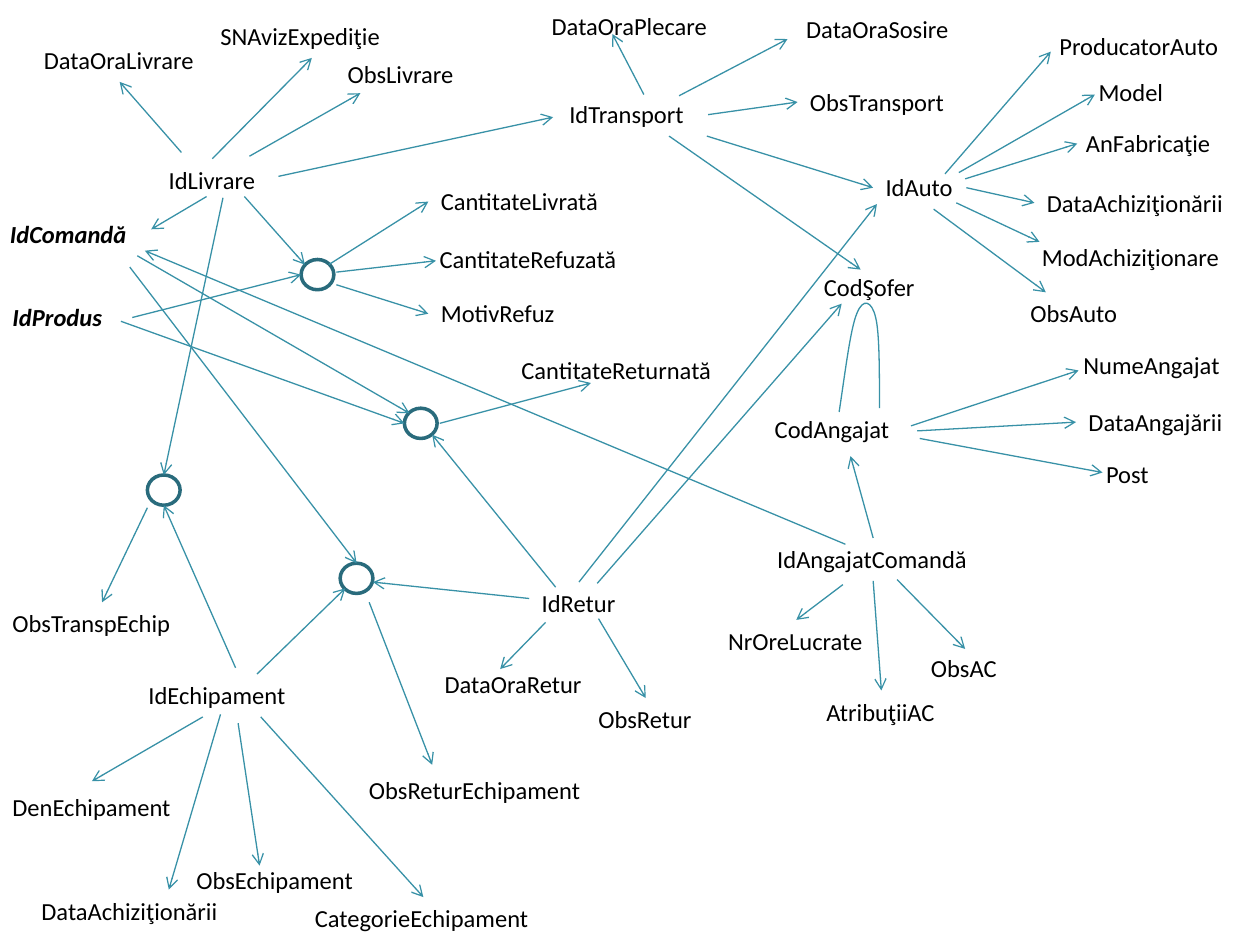
from math import dist

from lxml.etree import SubElement
from pptx import Presentation
from pptx.dml.color import RGBColor
from pptx.enum.shapes import MSO_CONNECTOR as CONN, MSO_SHAPE as SHAPE
from pptx.enum.text import MSO_AUTO_SIZE as AUTO
from pptx.oxml.ns import qn
from pptx.util import Cm, Pt

UNIT = 2.54
LABEL_H = 0.34
CIRCLE_W, CIRCLE_H = 0.26, 0.24
SNAP = 0.02

LABELS = [
    ("IdLivrare", 1.24, 1.26, 0.89),
    ("DataOraLivrare", 0.25, 0.31, 1.4),
    ("SNAvizExpediţie", 1.65, 0.12, 1.65),
    ("ObsLivrare", 2.66, 0.42, 1.05),
    ("IdTransport", 4.42, 0.74, 1.12),
    ("DataOraPlecare", 4.28, 0.04, 1.45),
    ("DataOraSosire", 6.3, 0.06, 1.34),
    ("ObsTransport", 6.33, 0.64, 1.28),
    ("IdAuto", 6.93, 1.32, 0.74),
    ("ProducatorAuto", 8.31, 0.2, 1.47),
    ("Model", 8.62, 0.56, 0.72),
    ("AnFabricaţie", 8.52, 0.97, 1.2),
    ("DataAchiziţionării", 8.21, 1.44, 1.62),
    ("ModAchiziţionare", 8.17, 1.87, 1.62),
    ("ObsAuto", 8.08, 2.32, 0.9),
    ("CodŞofer", 6.44, 2.11, 0.93),
    ("CodAngajat", 6.05, 3.24, 1.12),
    ("NumeAngajat", 8.5, 2.73, 1.29),
    ("DataAngajării", 8.54, 3.18, 1.28),
    ("Post", 8.68, 3.59, 0.54),
    ("CantitateLivrată", 3.4, 1.43, 1.47),
    ("CantitateRefuzată", 3.39, 1.89, 1.62),
    ("MotivRefuz", 3.4, 2.32, 1.12),
    ("IdAngajatComandă", 6.07, 4.27, 1.72),
    ("NrOreLucrate", 5.68, 4.92, 1.28),
    ("ObsAC", 7.29, 5.13, 0.73),
    ("AtribuţiiAC", 6.46, 5.48, 1.07),
    ("IdEchipament", 1.08, 5.35, 1.3),
    ("DenEchipament", 0, 6.24, 1.47),
    ("DataAchiziţionării", 0.23, 7.06, 1.62),
    ("ObsEchipament", 1.46, 6.82, 1.46),
    ("CategorieEchipament", 2.4, 7.12, 1.92),
    ("ObsTranspEchip", 0, 4.78, 1.71),
    ("IdRetur", 4.2, 4.62, 0.79),
    ("DataOraRetur", 3.43, 5.26, 1.3),
    ("ObsRetur", 4.65, 5.54, 0.95),
    ("CantitateReturnată", 4.04, 2.77, 1.73),
    ("ObsReturEchipament", 2.83, 6.1, 1.9),
]
KEY_LABELS = [("IdProdus", 0, 2.35, 1.05), ("IdComandă", -0.02, 1.69, 1.27)]

CIRCLES = [(2.39, 2.06), (1.17, 3.77), (3.21, 3.24), (2.7, 4.47)]

ARROWS = {
    "IdLivrare": [
        (1.44, 1.21, 0.95, 0.65), (1.69, 1.26, 2.47, 0.45),
        (2.21, 1.4, 4.39, 0.93), (1.98, 1.24, 2.86, 0.74),
        (1.94, 1.56, 2.42, 2.1), (1.64, 1.56, 1.2, 1.82),
        (1.77, 1.57, 1.3, 3.77)],
    "IdTransport": [
        (5.61, 1.08, 6.93, 1.49), (5.31, 1.08, 6.83, 2.14),
        (5.39, 0.76, 6.25, 0.31), (5.62, 0.91, 6.33, 0.81),
        (5.11, 0.75, 4.86, 0.27)],
    "IdAuto": [
        (7.5, 1.38, 8.34, 0.41), (7.66, 1.42, 8.55, 1.14),
        (7.67, 1.49, 8.21, 1.61), (7.59, 1.61, 8.25, 1.92),
        (7.41, 1.66, 8.3, 2.32), (7.61, 1.37, 8.69, 0.75)],
    "CodAngajat": [
        (7.23, 3.38, 8.56, 2.94), (7.28, 3.42, 8.54, 3.35),
        (7.3, 3.48, 8.75, 3.75)],
    "IdProdus": [(1.05, 2.52, 2.39, 2.18), (0.96, 2.55, 3.21, 3.36)],
    "IdComandă": [(1.09, 2.03, 3.25, 3.28), (1.03, 2.12, 2.83, 4.47)],
    "IdAngajatComandă": [
        (6.69, 4.64, 6.32, 4.92), (7.12, 4.6, 7.66, 5.15),
        (6.93, 4.6, 6.99, 5.48), (6.71, 4.32, 1.15, 1.99),
        (6.93, 4.27, 6.75, 3.62)],
    "IdEchipament": [
        (1.61, 5.69, 0.73, 6.2), (2.07, 5.69, 3.36, 7.12),
        (1.75, 5.67, 1.34, 7.06), (1.89, 5.74, 2.06, 6.87),
        (1.87, 5.3, 1.3, 4.01), (2.04, 5.35, 2.74, 4.67)],
    "IdRetur": [
        (4.33, 4.94, 3.97, 5.31), (4.75, 4.91, 5.12, 5.54),
        (4.59, 4.62, 6.96, 1.62), (4.74, 4.63, 6.68, 2.41),
        (4.41, 4.66, 3.43, 3.45), (4.2, 4.75, 2.96, 4.62)],
    "circles": [
        (2.61, 2.1, 3.4, 1.6), (2.67, 2.16, 3.46, 2.07),
        (2.67, 2.26, 3.4, 2.49), (1.17, 4.03, 0.81, 4.78),
        (3.49, 3.36, 4.69, 3.04), (2.93, 4.78, 3.43, 6.07)],
}

LOOP = [(6.66, 3.27), (6.71, 2.94), (6.75, 2.61), (6.8, 2.49), (6.85, 2.36),
        (6.92, 2.39), (6.95, 2.52), (6.98, 2.64), (6.98, 2.94), (6.98, 3.24)]


def lengths(*values):
    return [Cm(v * UNIT) for v in values]


def color(code):
    return RGBColor.from_string(code)


def style_line(s, code, width):
    s.line.color.rgb = color(code)
    s.line.width = Pt(width)


def add_label(slide, text, x, y, w, key=False):
    s = slide.shapes.add_textbox(*lengths(x, y, w, LABEL_H))
    tf = s.text_frame
    tf.text = text
    tf.word_wrap = False
    tf.auto_size = AUTO.SHAPE_TO_FIT_TEXT
    font = tf.paragraphs[0].runs[0].font
    font.name, font.size = "Calibri", Pt(14)
    font.color.rgb = color("000000")
    if key:
        font.bold = font.italic = True
    sides = [(x + w / 2, y), (x, y + LABEL_H / 2),
             (x + w / 2, y + LABEL_H), (x + w, y + LABEL_H / 2)]
    return [(s, site, point) for site, point in enumerate(sides)]


def add_circle(slide, x, y):
    s = slide.shapes.add_shape(SHAPE.OVAL, *lengths(x, y, CIRCLE_W, CIRCLE_H))
    s.shadow.inherit = False
    s.fill.background()
    style_line(s, "296B7C", 2)


def add_arrow(slide, ends, sides):
    c = slide.shapes.add_connector(CONN.STRAIGHT, *lengths(*ends))
    style_line(c, "3891A7", 0.75)
    SubElement(c.line._get_or_add_ln(), qn("a:tailEnd"), type="arrow")
    SubElement(c._element.spPr, qn("a:effectLst"))
    for point, connect in ((ends[:2], c.begin_connect), (ends[2:], c.end_connect)):
        for box, site, middle in sides:
            if dist(point, middle) < SNAP:
                connect(box, site)


def add_curve(slide, points):
    start, *rest = [lengths(*p) for p in points]
    builder = slide.shapes.build_freeform(*start)
    builder.add_line_segments(rest, close=False)
    s = builder.convert_to_shape()
    s.shadow.inherit = False
    s.fill.background()
    style_line(s, "3891A7", 0.75)
    segments = list(s._element.iter(qn("a:lnTo")))
    outline = segments[0].getparent()
    for i in range(0, len(segments), 3):
        bezier = SubElement(outline, qn("a:cubicBezTo"))
        for segment in segments[i:i + 3]:
            bezier.append(segment[0])
            outline.remove(segment)


def main():
    prs = Presentation()
    prs.slide_width, prs.slide_height = Cm(25.4), Cm(19.05)
    slide = prs.slides.add_slide(prs.slide_layouts[6])
    sides = []
    for label in LABELS:
        sides += add_label(slide, *label)
    for label in KEY_LABELS:
        sides += add_label(slide, *label, key=True)
    for circle in CIRCLES:
        add_circle(slide, *circle)
    add_curve(slide, LOOP)
    for group in ARROWS.values():
        for ends in group:
            add_arrow(slide, ends, sides)
    prs.save("out.pptx")


if __name__ == "__main__":
    main()
